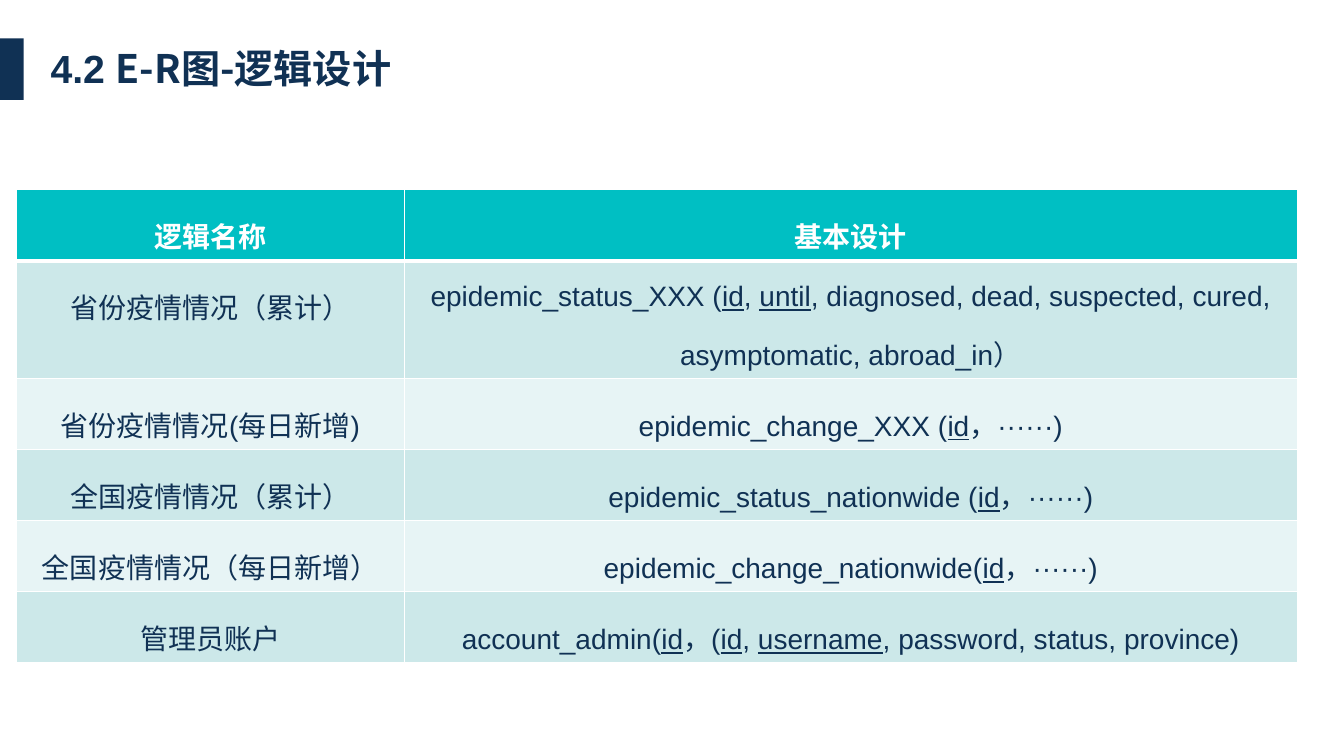
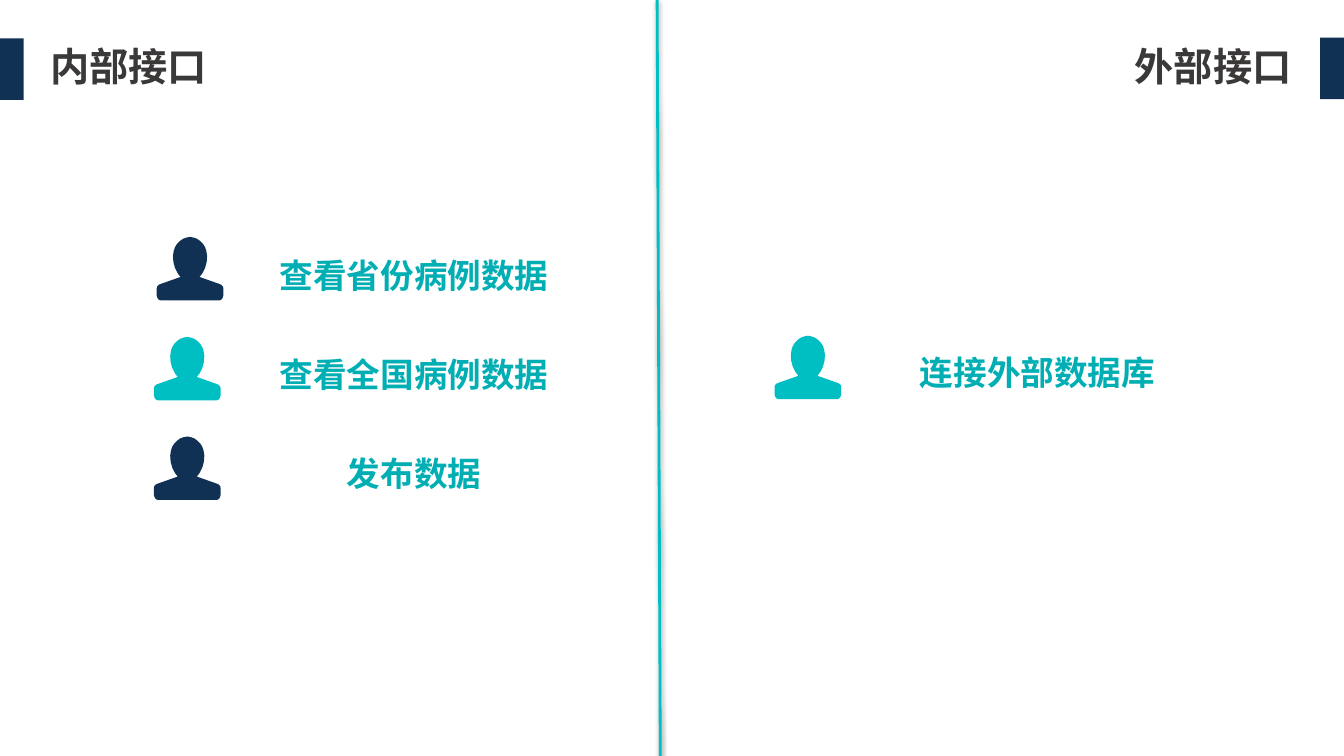
from lxml import etree
from pptx import Presentation
from pptx import util as u
from pptx.dml.color import RGBColor
from pptx.enum import shapes, text
from pptx.oxml import parse_xml
from pptx.oxml.ns import nsdecls, qn

NAVY = RGBColor(0x10, 0x31, 0x54)
TEAL = RGBColor(0x00, 0xBF, 0xC3)
DEEP_TEAL = RGBColor(0x00, 0xAE, 0xB3)
GREY = RGBColor(0x3B, 0x38, 0x38)
WHITE = RGBColor(0xFF, 0xFF, 0xFF)
BAND_DARK = RGBColor(0xCC, 0xE8, 0xE9)
BAND_LIGHT = RGBColor(0xE7, 0xF4, 0xF5)
LATIN, CHINESE = "Arial", "Noto Sans CJK SC"
BAR_WIDTH = 0.6


def write(para, words, size=20, color=NAVY, bold=False, font=LATIN,
          underline=False, align=text.PP_ALIGN.LEFT):
    """Add one formatted span to a paragraph."""
    para.alignment = align
    span = para.add_run()
    span.text = words
    span.font.size = u.Pt(size)
    span.font.bold = bold
    span.font.underline = underline
    span.font.color.rgb = color
    span.font.name = font
    east_asian = etree.SubElement(span.font._element, qn("a:ea"))
    east_asian.set("typeface", CHINESE)


def paint(shape, color):
    """Give a shape a plain fill without outline or shadow."""
    shape.fill.solid()
    shape.fill.fore_color.rgb = color
    shape.line.fill.background()
    shape.shadow.inherit = False


deck = Presentation()
deck.slide_width, deck.slide_height = u.Cm(33.87), u.Cm(19.05)
title_only = deck.slide_layouts[5]

# Pages with a heading bar and a title: spans of (words, font), top, colour
headings = [
    ([("4.2 ", LATIN), ("E-R图-逻辑设计", CHINESE)], 0.99, NAVY),
    ([("内部接口", LATIN)], 0.94, GREY),
]
pages = []
for spans, top, color in headings:
    page = deck.slides.add_slide(title_only)
    bar = page.shapes.add_shape(shapes.MSO_SHAPE.RECTANGLE, 0, u.Cm(0.97),
                                u.Cm(BAR_WIDTH), u.Cm(1.55))
    paint(bar, NAVY)
    title = page.shapes.title
    title.left, title.top = u.Cm(1.02), u.Cm(top)
    title.width, title.height = u.Cm(12.98), u.Cm(1.45)
    title.text_frame.auto_size = text.MSO_AUTO_SIZE.NONE
    title.text_frame.vertical_anchor = text.MSO_ANCHOR.MIDDLE
    for words, font in spans:
        write(title.text_frame.paragraphs[0], words, size=28, color=color,
              bold=True, font=font)
    pages.append(page)
design_page, interface_page = pages

# Table of logical designs; words between asterisks are underlined keys
rows = [
    ("逻辑名称", "基本设计"),
    ("省份疫情情况（累计）",
     "epidemic_status_XXX (*id*, *until*, diagnosed, dead, suspected, cured, "
     "asymptomatic, abroad_in）"),
    ("省份疫情情况(每日新增)", "epidemic_change_XXX (*id*，······)"),
    ("全国疫情情况（累计）", "epidemic_status_nationwide (*id*，······)"),
    ("全国疫情情况（每日新增）", "epidemic_change_nationwide(*id*，······)"),
    ("管理员账户",
     "account_admin(*id*，(*id*, *username*, password, status, province)"),
]
row_heights = [1.79, 2.95, 1.79, 1.79, 1.79, 1.79]
column_widths = [9.78, 22.5]
table = design_page.shapes.add_table(
    len(rows), len(column_widths), u.Cm(0.41), u.Cm(4.78),
    u.Cm(sum(column_widths)), u.Cm(sum(row_heights))).table
table.horz_banding = False
for column, width in zip(table.columns, column_widths):
    column.width = u.Cm(width)

for r, row in enumerate(rows):
    table.rows[r].height = u.Cm(row_heights[r])
    is_header = r == 0
    fill = TEAL if is_header else (BAND_LIGHT, BAND_DARK)[r % 2]
    for c, content in enumerate(row):
        cell = table.cell(r, c)
        cell.fill.solid()
        cell.fill.fore_color.rgb = fill
        para = cell.text_frame.paragraphs[0]
        para.line_spacing = 1.5
        for i, words in enumerate(content.split("*")):
            write(para, words, color=WHITE if is_header else NAVY,
                  bold=is_header, underline=i % 2 == 1,
                  align=text.PP_ALIGN.CENTER)
        # White borders, thicker below the header
        borders = {"lnL": 1, "lnR": 1, "lnT": 3 if r == 1 else 1,
                   "lnB": 3 if is_header else 1}
        properties = cell._tc.get_or_add_tcPr()
        for i, (side, points) in enumerate(borders.items()):
            properties.insert(i, parse_xml(
                f'<a:{side} {nsdecls("a")} w="{u.Pt(points)}"><a:solidFill>'
                f'<a:srgbClr val="{WHITE}"/></a:solidFill></a:{side}>'))

# Heading on the right half
right_bar = interface_page.shapes.add_shape(
    shapes.MSO_SHAPE.RECTANGLE, deck.slide_width - u.Cm(BAR_WIDTH), u.Cm(0.95),
    u.Cm(BAR_WIDTH), u.Cm(1.55))
paint(right_bar, NAVY)
box = interface_page.shapes.add_textbox(u.Cm(28.35), u.Cm(0.94), u.Cm(4.6), u.Cm(1.45))
box.text_frame.word_wrap = True
write(box.text_frame.paragraphs[0], "外部接口", size=28, color=GREY, bold=True)

# Interfaces: label, its left, top and width, icon centre, icon top, icon colour
interfaces = [
    ("查看省份病例数据", 6.17, 6.3, 8.53, 4.79, 5.97, NAVY),
    ("查看全国病例数据", 6.17, 8.79, 8.53, 4.72, 8.49, TEAL),
    ("发布数据", 6.17, 11.28, 8.53, 4.72, 11, NAVY),
    ("连接外部数据库", 22.5, 8.74, 7.29, 20.36, 8.46, TEAL),
]
# Right half of the person outline, in tenths of a millimetre from the crown
half = [(0, 0), (10, 2), (18, 5), (25, 10), (33, 18), (38, 26), (41, 35),
        (43, 48), (42, 63), (38, 78), (31, 92), (24, 101), (75, 119),
        (79, 121), (83, 125), (84, 130), (84, 148), (82, 154), (79, 158),
        (74, 160)]
outline = half + [(-x, y) for x, y in reversed(half[1:])]
for label, left, top, width, center, icon_top, color in interfaces:
    box = interface_page.shapes.add_textbox(u.Cm(left), u.Cm(top), u.Cm(width), u.Cm(1.28))
    box.text_frame.word_wrap = True
    write(box.text_frame.paragraphs[0], label, size=24, color=DEEP_TEAL,
          bold=True, align=text.PP_ALIGN.CENTER)
    builder = interface_page.shapes.build_freeform(*outline[0], scale=u.Cm(0.01))
    builder.add_line_segments(outline[1:], close=True)
    paint(builder.convert_to_shape(u.Cm(center), u.Cm(icon_top)), color)

# Divider with a soft shadow
divider = interface_page.shapes.add_connector(
    shapes.MSO_CONNECTOR.STRAIGHT, u.Cm(16.56), 0, u.Cm(16.64), deck.slide_height)
divider.line.color.rgb = TEAL
divider.line.width = u.Pt(2)
divider._element.spPr.append(parse_xml(
    f'<a:effectLst {nsdecls("a")}><a:outerShdw blurRad="{u.Pt(3.1)}" '
    f'dist="{u.Pt(1.6)}" dir="5400000" rotWithShape="0">'
    '<a:srgbClr val="000000"><a:alpha val="38000"/></a:srgbClr>'
    '</a:outerShdw></a:effectLst>'))

deck.save("out.pptx")
